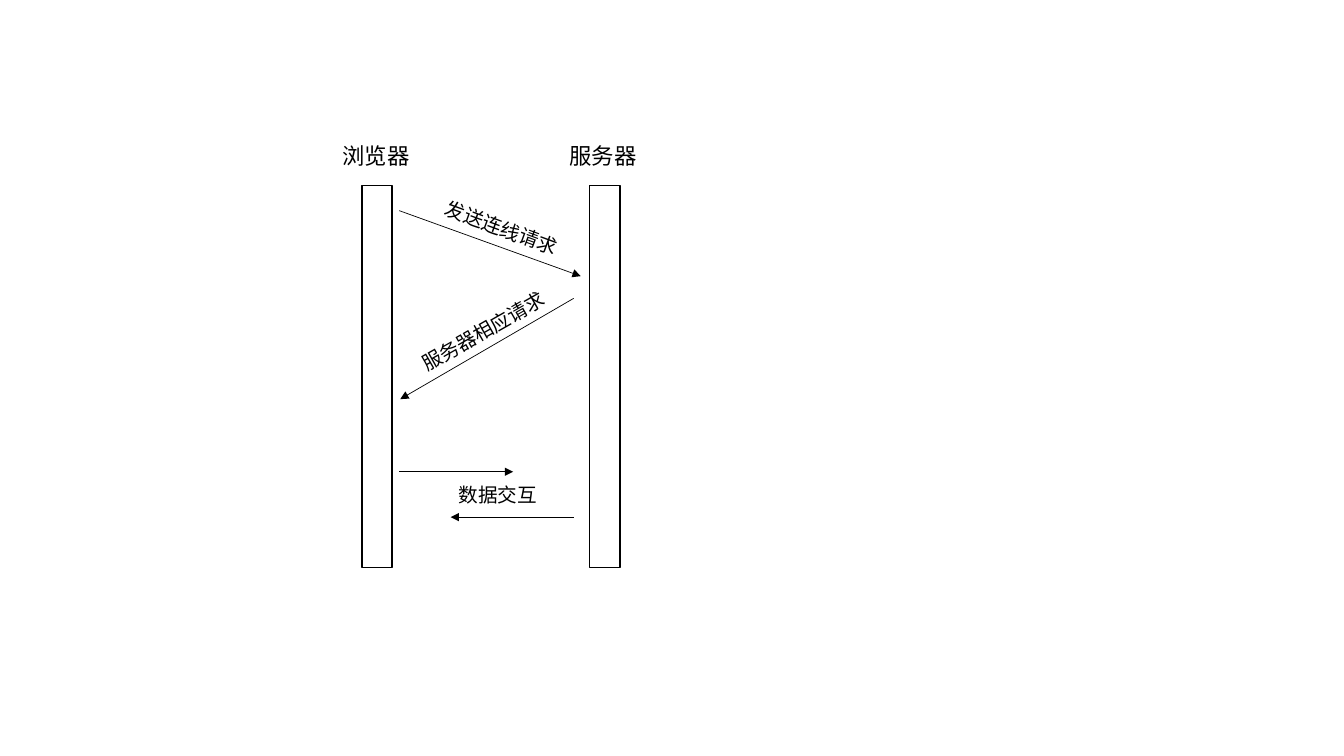
import pptx
import pptx.util
import pptx.dml.color
import pptx.enum.shapes
import pptx.enum.text
import pptx.oxml
import pptx.oxml.ns
from dataclasses import dataclass

Inches, Pt = pptx.util.Inches, pptx.util.Pt


@dataclass(frozen=True)
class Theme:
    """Colours, font, type sizes and line widths."""
    ink = pptx.dml.color.RGBColor(0, 0, 0)
    paper = pptx.dml.color.RGBColor(255, 255, 255)
    font = "Calibri"
    title_size = Pt(16)
    label_size = Pt(14)
    bar_line = Pt(1)
    arrow_line = Pt(0.5)


theme = Theme()


def add_label(s, text, left, top, width, height, size, rotation=0):
    """Add one line of text in a box that fits its text."""
    tb = s.shapes.add_textbox(Inches(left), Inches(top), Inches(width), Inches(height))
    tb.rotation = rotation
    tf = tb.text_frame
    tf.word_wrap = True
    tf.auto_size = pptx.enum.text.MSO_AUTO_SIZE.SHAPE_TO_FIT_TEXT
    r = tf.paragraphs[0].add_run()
    r.text = text
    r.font.name = theme.font
    r.font.size = size
    r.font.color.rgb = theme.ink


def add_arrow(s, x1, y1, x2, y2):
    """Add a thin line with a triangle at its end point."""
    line = s.shapes.add_connector(pptx.enum.shapes.MSO_CONNECTOR.STRAIGHT,
                                  Inches(x1), Inches(y1), Inches(x2), Inches(y2))
    line.line.color.rgb = theme.ink
    line.line.width = theme.arrow_line
    ln = line.line._get_or_add_ln()
    head = pptx.oxml.parse_xml(f'<a:tailEnd {pptx.oxml.ns.nsdecls("a")} type="triangle"/>')
    ln.append(head)
    ln.getparent().append(pptx.oxml.parse_xml(f'<a:effectLst {pptx.oxml.ns.nsdecls("a")}/>'))


def add_lifeline(s, name, left, top, width, height, label_left, label_width):
    """Add a participant's bar with its name above."""
    bar = s.shapes.add_shape(pptx.enum.shapes.MSO_SHAPE.RECTANGLE,
                             Inches(left), Inches(top), Inches(width), Inches(height))
    bar.shadow.inherit = False
    bar.fill.solid()
    bar.fill.fore_color.rgb = theme.paper
    bar.line.color.rgb = theme.ink
    bar.line.width = theme.bar_line
    add_label(s, name, label_left, top - 0.48, label_width, 0.37, theme.title_size)


def add_sequence(s, left, top, width, height):
    """Draw the browser and server lifelines and their messages in a box."""
    bar_width = 0.3
    server_left = left + width - bar_width
    add_lifeline(s, "浏览器", left, top, bar_width, height, left - 0.29, 0.87)
    add_lifeline(s, "服务器", server_left, top, bar_width, height, server_left - 0.3, 0.89)

    browser_x, server_x = left + 0.37, server_left - 0.16
    arrows = [
        (browser_x, 0.25, server_x + 0.07, 0.9),
        (server_x, 1.12, browser_x + 0.01, 2.12),
        (browser_x, 2.84, browser_x + 1.13, 2.84),
        (server_x, 3.29, server_x - 1.22, 3.29),
    ]
    for x1, y1, x2, y2 in arrows:
        add_arrow(s, x1, top + y1, x2, top + y2)

    messages = [
        ("发送连线请求", 0.7, 0.26, 1.4, 20.2),
        ("服务器相应请求", 0.42, 1.27, 1.59, 330.3),
        ("数据交互", 0.86, 2.9, 1.4, 0),
    ]
    for text, x, y, label_width, rotation in messages:
        add_label(s, text, left + x, top + y, label_width, 0.34, theme.label_size, rotation)


prs = pptx.Presentation()
prs.slide_width, prs.slide_height = Inches(13.33), Inches(7.5)
s = prs.slides.add_slide(prs.slide_layouts[6])
add_sequence(s, 3.59, 1.84, 2.56, 3.79)
prs.save("out.pptx")
